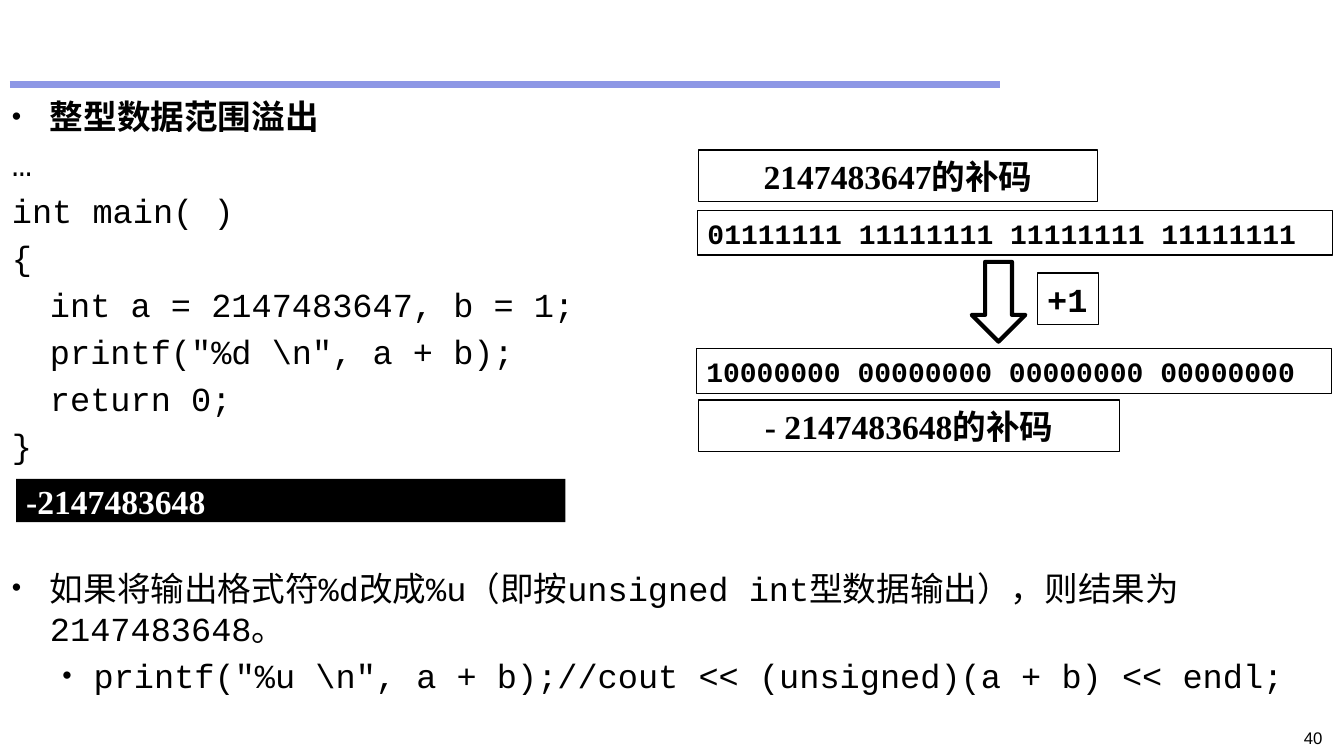
from dataclasses import dataclass
from typing import Optional

from lxml.etree import SubElement
from pptx import Presentation
from pptx.dml.color import RGBColor
from pptx.enum.shapes import MSO_CONNECTOR, MSO_SHAPE
from pptx.enum.text import MSO_ANCHOR as ANCHOR, PP_ALIGN as ALIGN
from pptx.oxml.ns import qn
from pptx.util import Cm, Pt

MONO, SERIF, SANS = "Courier New", "Times New Roman", "Arial"
BLACK, WHITE, RULE = "000000", "FFFFFF", "8D97E5"


@dataclass
class Line:
    text: str
    indent: float = 0
    hang: float = 0
    bold: bool = False
    level: int = 0


@dataclass
class Box:
    text: str
    left: float
    top: float
    width: float
    height: float
    font: str = MONO
    size: float = 24
    align: ALIGN = ALIGN.LEFT
    fill: Optional[str] = None
    color: str = BLACK
    wrap: bool = True
    inset: float = 0.13


CODE = [
    Line("整型数据范围溢出", 0.96, 0.96, bold=True),
    Line("…"),
    Line("int main( )"),
    Line("{"),
    Line("int a = 2147483647, b = 1;", 0.96),
    Line('printf("%d \\n", a + b);', 0.96),
    Line("return 0;", 0.96),
    Line("}"),
]
REMARK = [
    Line("如果将输出格式符%d改成%u（即按unsigned int型数据输出），则结果为2147483648。", 0.96, 0.96),
    Line('printf("%u \\n", a + b);//cout << (unsigned)(a + b) << endl;', 2.06, 0.79, level=1),
]
BOXES = [
    Box("+1", 26.14, 6.88, 1.55, 1.3, wrap=False),
    Box("2147483647的补码", 17.6, 3.78, 10.06, 1.3, SERIF, align=ALIGN.CENTER),
    Box("- 2147483648的补码", 17.6, 10.08, 10.62, 1.3, SERIF, align=ALIGN.CENTER),
    Box("-2147483648", 0.41, 12.07, 13.84, 1.09, SERIF, fill=BLACK, color=WHITE, inset=0.03),
    Box("01111111 11111111 11111111 11111111", 17.58, 5.31, 16, 1.12, size=20),
    Box("10000000 00000000 00000000 00000000", 17.55, 8.79, 16, 1.12, size=20),
]


def rgb(value: str) -> RGBColor:
    return RGBColor.from_string(value)


def add_text(p, text: str, *, font: str = MONO, size: float = 24, color: str = BLACK,
             bold: bool = False, align: ALIGN = ALIGN.LEFT) -> None:
    p.alignment = align
    r = p.add_run()
    r.text = text
    r.font.name, r.font.size, r.font.bold = font, Pt(size), bold
    r.font.color.rgb = rgb(color)


def add_shape(s, kind: MSO_SHAPE, left: float, top: float, width: float, height: float,
              fill: Optional[str] = None, weight: float = 1):
    sp = s.shapes.add_shape(kind, Cm(left), Cm(top), Cm(width), Cm(height))
    sp.shadow.inherit = False
    if fill:
        sp.fill.solid()
        sp.fill.fore_color.rgb = rgb(fill)
        sp.line.fill.background()
    else:
        sp.fill.background()
        sp.line.color.rgb = rgb(BLACK)
        sp.line.width = Pt(weight)
    return sp


def add_box(s, box: Box) -> None:
    sp = add_shape(s, MSO_SHAPE.RECTANGLE, box.left, box.top, box.width, box.height, box.fill)
    tf = sp.text_frame
    tf.word_wrap, tf.vertical_anchor = box.wrap, ANCHOR.MIDDLE
    tf.margin_top = tf.margin_bottom = Cm(box.inset)
    add_text(tf.paragraphs[0], box.text, font=box.font, size=box.size,
             color=box.color, bold=True, align=box.align)


def add_lines(s, lines: list[Line], top: float, width: float, height: float) -> None:
    tf = s.shapes.add_textbox(Cm(0.25), Cm(top), Cm(width), Cm(height)).text_frame
    tf.word_wrap = True
    tf.margin_left = tf.margin_right = Cm(0.05)
    tf.margin_top = tf.margin_bottom = Cm(0.03)
    for i, line in enumerate(lines):
        p = tf.add_paragraph() if i else tf.paragraphs[0]
        p.level, p.space_before = line.level, Pt(4.8)
        add_text(p, line.text, bold=line.bold)
        # Hanging lines carry a bullet
        pPr = p._p.get_or_add_pPr()
        pPr.set("marL", str(Cm(line.indent)))
        pPr.set("indent", str(-Cm(line.hang)))
        if line.hang:
            SubElement(pPr, qn("a:buSzPct")).set("val", "80000")
            SubElement(pPr, qn("a:buFont")).set("typeface", SANS)
            SubElement(pPr, qn("a:buChar")).set("char", "•")


def main() -> None:
    prs = Presentation()
    prs.slide_width, prs.slide_height = Cm(33.87), Cm(19.05)
    s = prs.slides.add_slide(prs.slide_layouts[6])

    # Title rule
    rule = s.shapes.add_connector(MSO_CONNECTOR.STRAIGHT, Cm(0.25), Cm(2.13), Cm(25.2), Cm(2.13))
    rule.line.color.rgb = rgb(RULE)
    rule.line.width = Pt(4.5)
    SubElement(rule._element.spPr, qn("a:effectLst"))

    # Program and remark
    add_lines(s, CODE, 2.39, 17, 9.6)
    add_lines(s, REMARK, 14.27, 33.32, 3.6)

    # Overflow diagram and program output
    add_shape(s, MSO_SHAPE.DOWN_ARROW, 24.49, 6.6, 1.35, 2.01, weight=3)
    for box in BOXES:
        add_box(s, box)

    # Page number
    number = s.shapes.add_textbox(Cm(30.25), Cm(18.21), Cm(3.33), Cm(0.64))
    number.text_frame.word_wrap = True
    add_text(number.text_frame.paragraphs[0], "40", font=SANS, size=12, align=ALIGN.RIGHT)

    prs.save("out.pptx")


if __name__ == "__main__":
    main()
